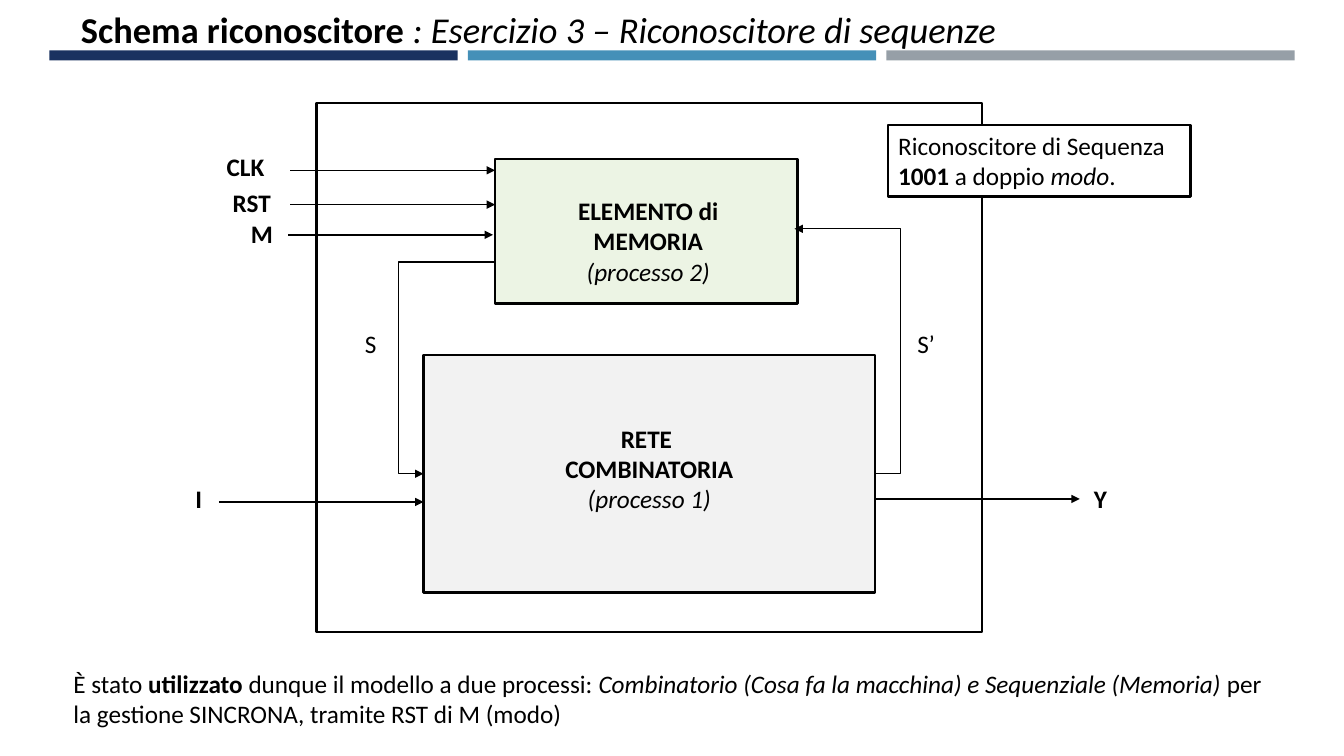
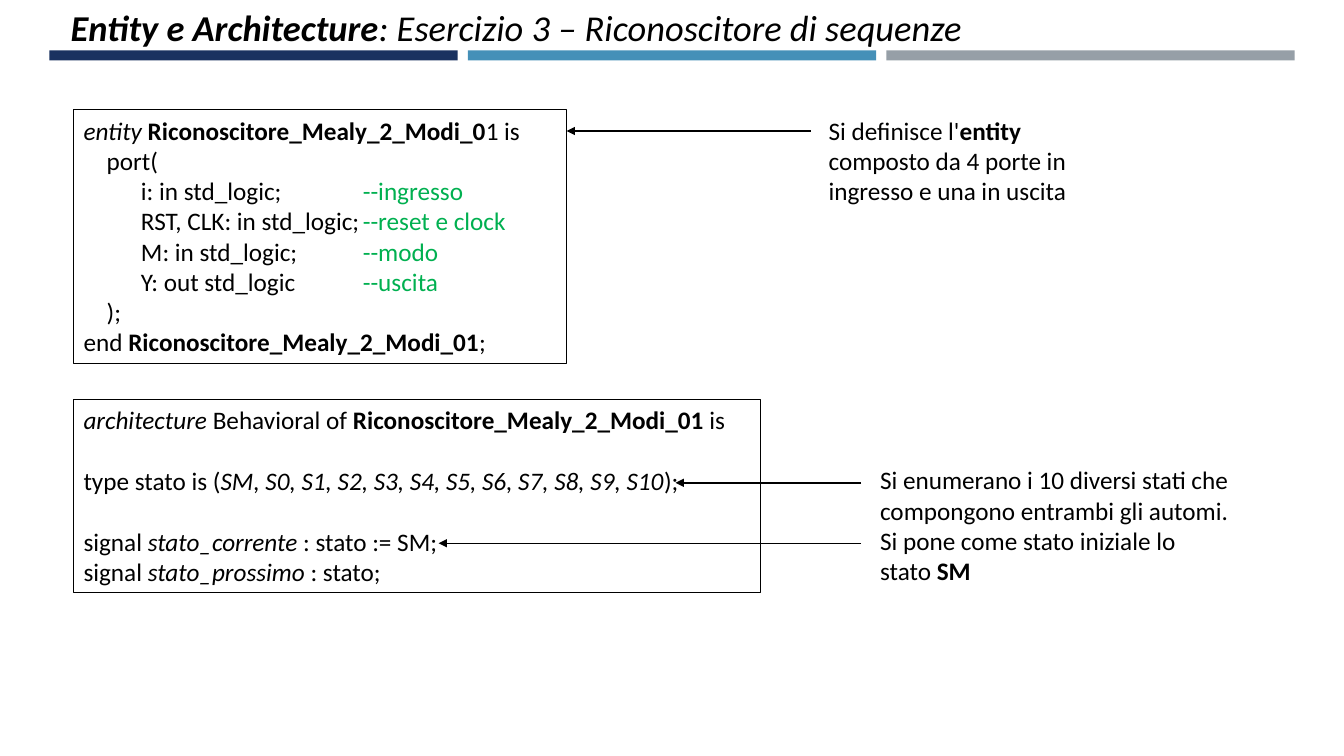
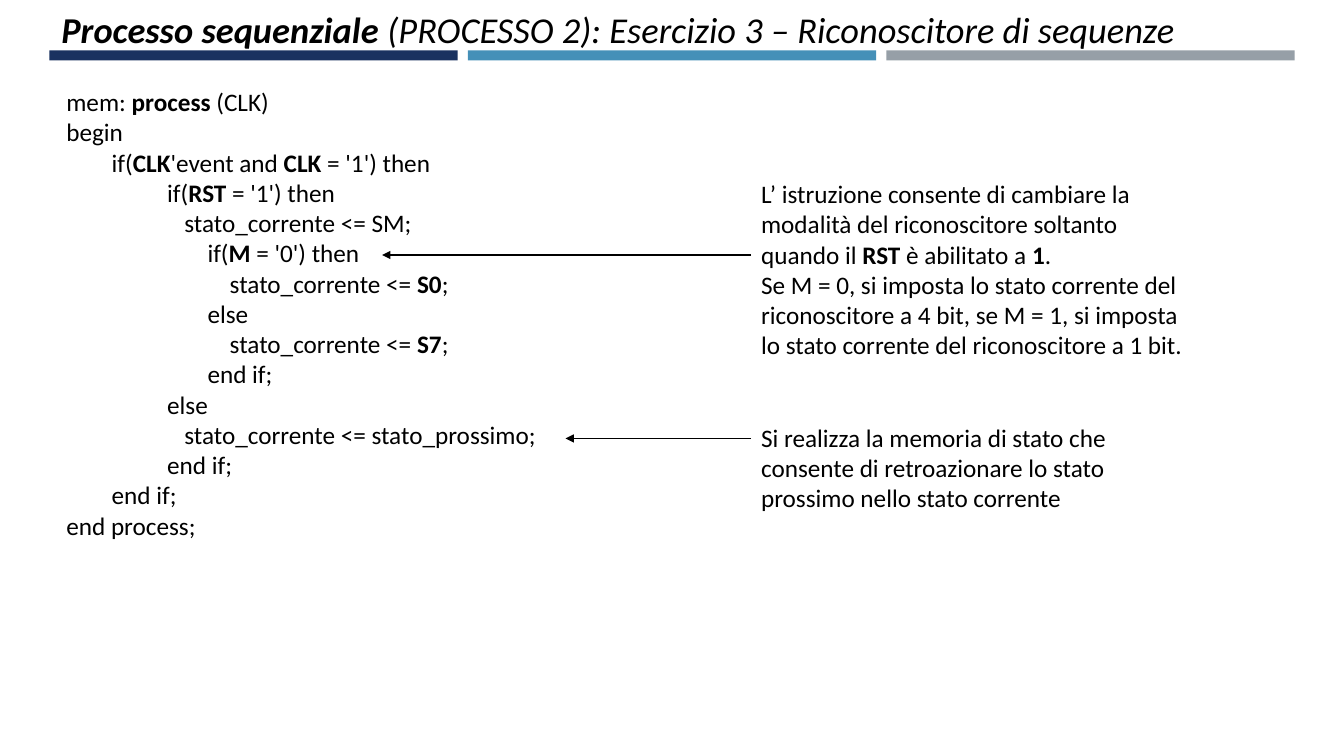
import dataclasses

import pptx
import pptx.dml.color
import pptx.enum.shapes
import pptx.enum.text
import pptx.oxml
import pptx.oxml.ns
import pptx.util

Inches = pptx.util.Inches
Pt = pptx.util.Pt
ALIGN = pptx.enum.text.PP_ALIGN
SHAPES = pptx.enum.shapes.MSO_SHAPE


@dataclasses.dataclass(frozen=True)
class Theme:
    """Colours, font, type sizes and line widths of the deck."""
    font: str = "Calibri"
    title_size: int = 26
    text_size: int = 18
    ink: str = "000000"
    comment: str = "00B050"
    paper: str = "FFFFFF"
    memory: str = "ECF4E4"
    network: str = "F2F2F2"
    bands: tuple = ("1A3260", "4590B8", "969FA7")
    block_line: float = 1.75
    code_line: float = 0.75
    arrow_line: float = 1


@dataclasses.dataclass(frozen=True)
class Box:
    """A rectangle in inches."""
    left: float
    top: float
    width: float
    height: float

    def inner(self, left, top, width, height):
        """Return a box placed from this box's top left corner."""
        return Box(self.left + left, self.top + top, width, height)

    def point(self, across, down):
        """Return a point placed from this box's top left corner."""
        return Inches(self.left + across), Inches(self.top + down)

    def lengths(self):
        """Return left, top, width and height as lengths."""
        return tuple(Inches(side) for side in dataclasses.astuple(self))


THEME = Theme()
EXERCISE = ": Esercizio 3 – Riconoscitore di sequenze\u00a0"


def colour(value):
    """Turn a hex string into a colour."""
    return pptx.dml.color.RGBColor.from_string(value)


def apply(target, formats):
    """Set every attribute listed in a dict of format values."""
    for name, value in formats.items():
        setattr(target, name, value)


def element(markup):
    """Make a drawing element from its tag and attributes."""
    return pptx.oxml.parse_xml(f"<a:{markup} {pptx.oxml.ns.nsdecls('a')}/>")


def write_marked(para, text, size):
    """Write text in which * toggles bold, / italic and ~ the comment colour."""
    for mark in "*/~\n":
        text = text.replace(mark, f"|{mark}|")
    active = set()
    for token in filter(None, text.split("|")):
        if token == "\n":
            para.add_line_break()
        elif token in "*/~":
            active ^= {token}
        else:
            span = para.add_run()
            span.text = token
            apply(span.font, {"name": THEME.font, "size": Pt(size),
                              "bold": "*" in active, "italic": "/" in active})
            span.font.color.rgb = colour(THEME.comment if "~" in active else THEME.ink)


def fill_text(shape, paragraphs, size=THEME.text_size, align=ALIGN.LEFT, stops=(), gaps=()):
    """Fill a shape with paragraphs; gaps lists those preceded by an open line."""
    frame = shape.text_frame
    apply(frame, {"word_wrap": True, "auto_size": pptx.enum.text.MSO_AUTO_SIZE.NONE,
                  "vertical_anchor": pptx.enum.text.MSO_ANCHOR.TOP})
    for index, text in enumerate(paragraphs):
        para = frame.add_paragraph() if index else frame.paragraphs[0]
        para.alignment = align
        if index in gaps:
            para.space_before = Pt(22)
        if stops:
            tabs = element("tabLst")
            for stop in stops:
                tabs.append(element(f'tab pos="{Inches(stop)}" algn="l"'))
            para._p.get_or_add_pPr().append(tabs)
        write_marked(para, text, size)


def add_text(page, box, paragraphs, **options):
    """Place a text box."""
    fill_text(page.shapes.add_textbox(*box.lengths()), paragraphs, **options)


def add_block(page, box, fill=None, line=None):
    """Place a rectangle with an optional fill and outline width."""
    block = page.shapes.add_shape(SHAPES.RECTANGLE, *box.lengths())
    block.shadow.inherit = False
    if fill:
        block.fill.solid()
        block.fill.fore_color.rgb = colour(fill)
    else:
        block.fill.background()
    if line:
        block.line.color.rgb = colour(THEME.ink)
        block.line.width = Pt(line)
    else:
        block.line.fill.background()
    return block


def add_arrow(page, *points):
    """Draw an arrow through the points, with its head at the last one."""
    if len(points) == 2:
        arrow = page.shapes.add_connector(
            pptx.enum.shapes.MSO_CONNECTOR.STRAIGHT, *points[0], *points[1])
    else:
        builder = page.shapes.build_freeform(*points[0])
        builder.add_line_segments(points[1:], close=False)
        arrow = builder.convert_to_shape()
        arrow.fill.background()
    arrow.line.color.rgb = colour(THEME.ink)
    arrow.line.width = Pt(THEME.arrow_line)
    properties = arrow.element.spPr
    properties.find(pptx.oxml.ns.qn("a:ln")).append(element('tailEnd type="triangle"'))
    properties.append(element("effectLst"))


def add_bands(layout, page, box):
    """Draw three equal bands and hand them to the layout all pages share."""
    gap = 0.1
    width = (box.width - 2 * gap) / 3
    for index, fill in enumerate(THEME.bands):
        band = add_block(page, box.inner(index * (width + gap), 0, width, box.height), fill)
        band.element.nvSpPr.cNvPr.id = 20 + index
        layout.element.cSld.spTree.append(band.element)


def add_page(deck, layout, box, title):
    """Add a page with its title."""
    page = deck.slides.add_slide(layout)
    heading = page.shapes.title
    apply(heading, dict(zip(("left", "top", "width", "height"), box.lengths())))
    fill_text(heading, [title], THEME.title_size, ALIGN.CENTER)
    return page


def add_diagram(page, box):
    """Draw the recogniser: its frame, two processes, signals and caption box."""
    add_block(page, box, line=THEME.block_line)
    processes = (
        (box.inner(1.77, 0.56, 3, 1.43), THEME.memory, box.inner(1.52, 0.87, 3.54, 1.01),
         ["*ELEMENTO di\nMEMORIA\n*/(processo 2)/"]),
        (box.inner(1.06, 2.5, 4.48, 2.36), THEME.network, box.inner(1.53, 3.13, 3.54, 1.01),
         ["*RETE *", "*COMBINATORIA\n*/(processo 1)/"]),
    )
    for block, fill, label, paragraphs in processes:
        add_block(page, block, fill, THEME.block_line)
        add_text(page, label, paragraphs, align=ALIGN.CENTER)

    labels = (("*CLK*", -0.99, 0.43), ("*RST*", -0.93, 0.79), ("*M*", -0.75, 1.1),
              ("*I*", -1.3, 3.73), ("*Y*", 7.61, 3.73), ("S", 0.38, 2.19), ("S’", 5.86, 2.19))
    for text, across, down in labels:
        add_text(page, box.inner(across, down, 0.74, 0.4), [text])

    reach = 2.03
    for across, down in ((-0.26, 0.67), (-0.26, 1.01), (-0.28, 1.31), (-0.97, 3.96), (5.54, 3.93)):
        add_arrow(page, box.point(across, down), box.point(across + reach, down))
    state = ((1.77, 1.58), (0.81, 1.58), (0.81, 3.68), (1.06, 3.68))
    next_state = ((5.54, 3.68), (5.79, 3.68), (5.79, 1.25), (4.74, 1.25))
    for corners in (state, next_state):
        add_arrow(page, *(box.point(*corner) for corner in corners))

    caption = add_block(page, box.inner(5.67, 0.22, 3, 0.71), THEME.paper, THEME.block_line)
    fill_text(caption, ["Riconoscitore di Sequenza\n*1001 *a doppio /modo/."])


def add_code(page, box, lines, **options):
    """Place an outlined listing."""
    fill_text(add_block(page, box, line=THEME.code_line), lines, **options)


def add_note(page, box, paragraphs, gap, arrows):
    """Place a note and its arrows, each given as height in the box and length."""
    add_text(page, box, paragraphs)
    for down, length in arrows:
        add_arrow(page, box.point(-gap, down), box.point(-gap - length, down))


def build_scheme(page):
    """Fill the page on the block scheme."""
    add_diagram(page, Box(3.14, 1.02, 6.6, 5.25))
    add_text(page, Box(0.63, 6.58, 12.08, 0.71), [
        "È stato *utilizzato *dunque il modello a due processi: "
        "/Combinatorio (Cosa fa la macchina) e Sequenziale (Memoria) /"
        "per la gestione SINCRONA, tramite RST di M (modo)"])


def build_entity(page):
    """Fill the page on the entity and its architecture."""
    add_code(page, Box(0.73, 1.09, 4.89, 2.52), [
        "/entity /*Riconoscitore_Mealy_2_Modi_0*1 is",
        "\tport( ",
        "\t\ti: in std_logic;\t~--ingresso~",
        "\t\tRST, CLK: in std_logic;\t~--reset e clock~",
        "\t\tM: in std_logic;\t~--modo~",
        "\t\tY: out std_logic\t~--uscita~",
        "\t);",
        "end *Riconoscitore_Mealy_2_Modi_01*;",
    ], stops=(0.23, 0.57, 2.77))
    add_code(page, Box(0.73, 3.96, 6.81, 1.92), [
        "/architecture /Behavioral of *Riconoscitore_Mealy_2_Modi_01 *is",
        "type stato is (/SM, S0, S1, S2, S3, S4, S5, S6, S7, S8, S9, S10/);",
        "signal /stato_corrente/ : stato := SM;",
        "signal /stato_prossimo/ : stato;",
    ], gaps=(1, 2))
    add_note(page, Box(8.12, 1.09, 3, 1.01),
             ["Si definisce l'*entity* composto da 4 porte in ingresso e una in uscita"],
             0.08, [(0.21, 2.42)])
    add_note(page, Box(8.63, 4.56, 3.68, 1.31), [
        "Si enumerano i 10 diversi stati che compongono entrambi gli automi.",
        "Si pone come stato iniziale lo stato *SM*",
    ], 0.09, [(0.23, 1.84), (0.83, 4.19)])


def build_process(page):
    """Fill the page on the sequential process."""
    add_text(page, Box(0.56, 0.81, 8.05, 4.64), [
        "mem: *process* (CLK)",
        "begin",
        "\tif(*CLK*'event and *CLK* = '1') then",
        "\t\tif(*RST* = '1') then",
        "\t\t\tstato_corrente <= SM;",
        "\t\t\t\tif(*M* = '0') then",
        "\t\t\t\t\tstato_corrente <= *S0*; ",
        "\t\t\t\telse ",
        "\t\t\t\t\tstato_corrente <= *S7*; ",
        "\t\t\t\tend if;",
        "\t\telse",
        "\t\t\tstato_corrente <= stato_prossimo;",
        "\t\tend if;",
        "\tend if;",
        "end process;",
    ], stops=(0.45, 1, 1.17, 1.4, 1.62))
    add_note(page, Box(7.45, 1.72, 4.49, 1.92), [
        "L’ istruzione consente di cambiare la modalità del riconoscitore soltanto "
        "quando il *RST* è abilitato a *1*.",
        "Se M = 0, si imposta lo stato corrente del riconoscitore a 4 bit, "
        "se M = 1, si imposta lo stato corrente del riconoscitore a 1 bit.",
    ], 0, [(0.81, 3.66)])
    add_note(page, Box(7.45, 4.14, 4.49, 1.01),
             ["Si realizza la memoria di stato che consente di retroazionare "
              "lo stato prossimo nello stato corrente"],
             0, [(0.21, 1.84)])


def main():
    """Build and save the deck."""
    deck = pptx.Presentation()
    deck.slide_width, deck.slide_height = Inches(13.33), Inches(7.5)
    layout = deck.slide_layouts.get_by_name("Title Only")
    pages = (
        (Box(-0.08, 0.02, 10.93, 0.54), f"*Schema riconoscitore */{EXERCISE}/", build_scheme),
        (Box(0.39, 0, 9.55, 0.54), f"/*Entity e Architecture*{EXERCISE}/", build_entity),
        (Box(0.4, 0.02, 11.55, 0.54),
         f"/*Processo sequenziale *(PROCESSO 2){EXERCISE}/", build_process),
    )
    for index, (box, title, build) in enumerate(pages):
        page = add_page(deck, layout, box, title)
        if index == 0:
            add_bands(layout, page, Box(0.49, 0.5, 12.35, 0.1))
        build(page)
    deck.save("out.pptx")


main()
